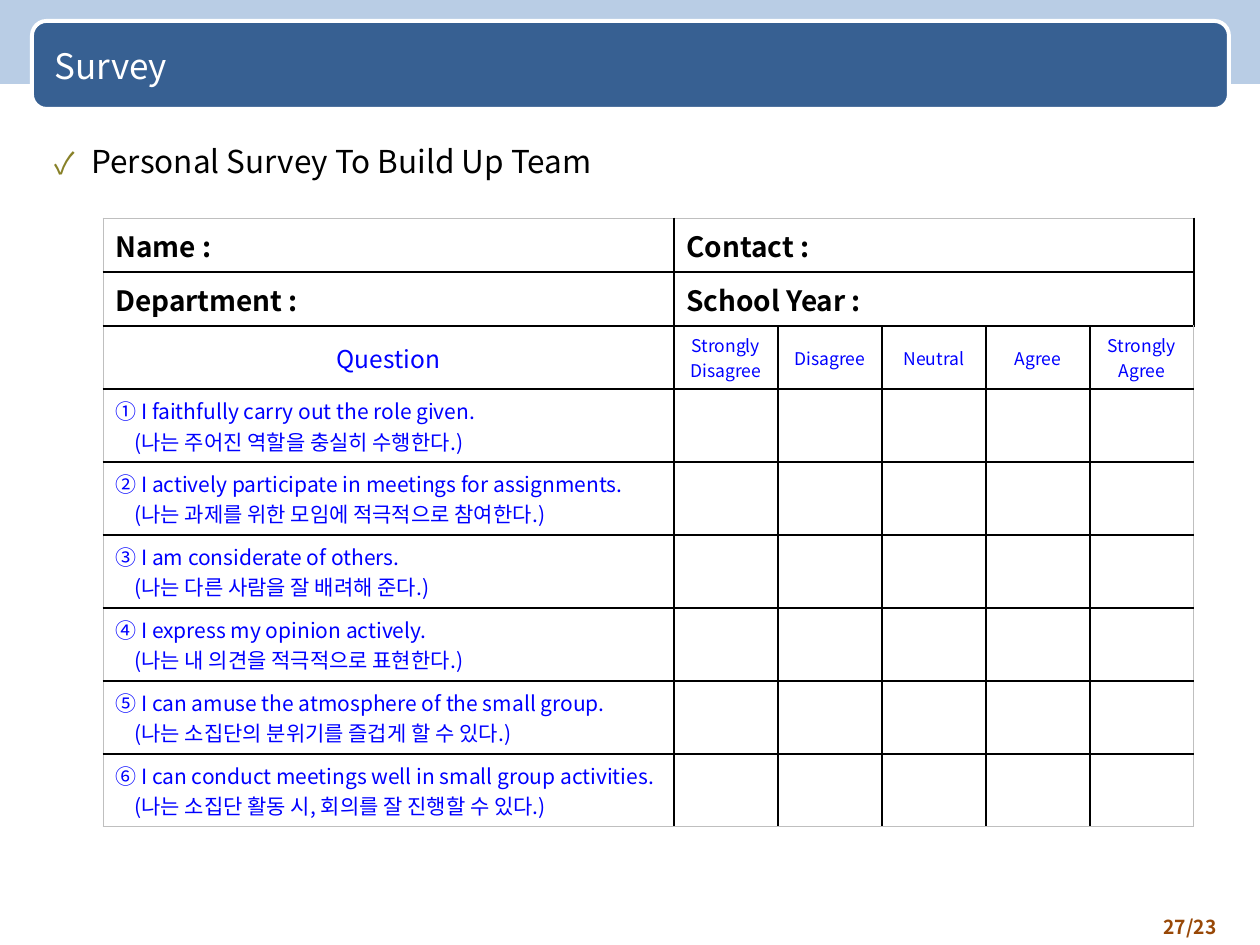
from dataclasses import dataclass

from lxml import etree
from pptx import Presentation
from pptx.dml.color import RGBColor
from pptx.enum.shapes import MSO_SHAPE
from pptx.enum.text import MSO_ANCHOR, PP_ALIGN
from pptx.oxml.ns import qn
from pptx.util import Emu, Pt

RECT, ROUND = MSO_SHAPE.RECTANGLE, MSO_SHAPE.ROUNDED_RECTANGLE
LEFT, CENTER, RIGHT = PP_ALIGN.LEFT, PP_ALIGN.CENTER, PP_ALIGN.RIGHT
TOP, MIDDLE = MSO_ANCHOR.TOP, MSO_ANCHOR.MIDDLE
PX = 914400 // 126


@dataclass(frozen=True)
class Theme:
    font: str = "Noto Sans CJK KR"
    band: str = "B9CDE5"
    bar: str = "376092"
    white: str = "FFFFFF"
    ink: str = "000000"
    blue: str = "0000FF"
    page: str = "984807"
    check: str = "888128"
    edge: str = "BFBFBF"
    title: int = 20
    lead: int = 18
    field: int = 16
    head: int = 14
    item: int = 12
    note: int = 11
    scale: int = 10


T = Theme()
COLS = [571] + [104] * 5
ROWS = [54, 54, 63] + [73] * 6
FIELDS = [("Name :", "Contact :"), ("Department :", "School Year :")]
SCALE = ["Strongly Disagree", "Disagree", "Neutral", "Agree", "Strongly Agree"]
ITEMS = [
    ("① I faithfully carry out the role given.",
     "(나는 주어진 역할을 충실히 수행한다.)"),
    ("② I actively participate in meetings for assignments.",
     "(나는 과제를 위한 모임에 적극적으로 참여한다.)"),
    ("③ I am considerate of others.",
     "(나는 다른 사람을 잘 배려해 준다.)"),
    ("④ I express my opinion actively.",
     "(나는 내 의견을 적극적으로 표현한다.)"),
    ("⑤ I can amuse the atmosphere of the small group.",
     "(나는 소집단의 분위기를 즐겁게 할 수 있다.)"),
    ("⑥ I can conduct meetings well in small group activities.",
     "(나는 소집단 활동 시, 회의를 잘 진행할 수 있다.)"),
]


def px(n):
    return Emu(n * PX)


def rgb(code):
    return RGBColor.from_string(code)


def style(para, size, color, bold=False, align=LEFT):
    para.alignment = align
    font = para.font
    font.name, font.size, font.bold = T.font, Pt(size), bold
    font.color.rgb = rgb(color)
    props = para._p.pPr.find(qn("a:defRPr"))
    etree.SubElement(props, qn("a:ea"), typeface=T.font)


def indent(para, left, first=0):
    props = para._p.get_or_add_pPr()
    props.set("marL", str(px(left)))
    props.set("indent", str(px(first)))


def bullet(para, mark, color, pct):
    props = para._p.get_or_add_pPr()
    tint = etree.SubElement(props, qn("a:buClr"))
    etree.SubElement(tint, qn("a:srgbClr"), val=color)
    etree.SubElement(props, qn("a:buSzPct"), val=str(pct * 1000))
    etree.SubElement(props, qn("a:buFont"), typeface=T.font)
    etree.SubElement(props, qn("a:buChar"), char=mark)


def panel(slide, kind, box, fill, line=None):
    shape = slide.shapes.add_shape(kind, *map(px, box))
    shape.shadow.inherit = False
    shape.fill.solid()
    shape.fill.fore_color.rgb = rgb(fill)
    if line:
        shape.line.color.rgb = rgb(line)
        shape.line.width = Pt(2.25)
    else:
        shape.line.fill.background()


def label(slide, box, text, anchor=MIDDLE):
    """Add a one-line text box and return its paragraph."""
    frame = slide.shapes.add_textbox(*map(px, box)).text_frame
    frame.word_wrap = True
    frame.vertical_anchor = anchor
    para = frame.paragraphs[0]
    para.text = text
    return para


def border(cell, row, col):
    """Draw black inner rules and thin grey outer ones."""
    props = cell._tc.get_or_add_tcPr()
    outer = {"L": col == 0, "R": col == len(COLS) - 1,
             "T": row == 0, "B": row == len(ROWS) - 1}
    for i, (side, edge) in enumerate(outer.items()):
        width = Pt(0.5 if edge else 1)
        line = etree.Element(qn(f"a:ln{side}"), w=str(width))
        fill = etree.SubElement(line, qn("a:solidFill"))
        etree.SubElement(fill, qn("a:srgbClr"), val=T.edge if edge else T.ink)
        props.insert(i, line)


def write(cell, text, *look, **more):
    cell.text = text
    for para in cell.text_frame.paragraphs:
        style(para, *look, **more)


def survey(slide):
    box = (103, 218, sum(COLS), sum(ROWS))
    frame = slide.shapes.add_table(len(ROWS), len(COLS), *map(px, box))
    table = frame.table
    table.first_row = table.horz_banding = False
    for col, width in zip(table.columns, COLS):
        col.width = px(width)
    for r, height in enumerate(ROWS):
        table.rows[r].height = px(height)
        for c in range(len(COLS)):
            cell = table.cell(r, c)
            cell.fill.background()
            cell.vertical_anchor = MIDDLE
            border(cell, r, c)

    for r, pair in enumerate(FIELDS):
        table.cell(r, 1).merge(table.cell(r, len(COLS) - 1))
        for c, text in enumerate(pair):
            write(table.cell(r, c), text, T.field, T.ink, bold=True)

    top = len(FIELDS)
    write(table.cell(top, 0), "Question", T.head, T.blue, align=CENTER)
    for c, text in enumerate(SCALE, 1):
        write(table.cell(top, c), text, T.scale, T.blue, align=CENTER)
    for r, pair in enumerate(ITEMS, top + 1):
        cell = table.cell(r, 0)
        write(cell, "\n".join(pair), T.item, T.blue)
        indent(cell.text_frame.paragraphs[1], 19)


def main():
    deck = Presentation()
    deck.slide_width, deck.slide_height = px(1260), px(945)
    slide = deck.slides.add_slide(deck.slide_layouts[6])

    panel(slide, RECT, (-1, 0, 1262, 84), T.band)
    panel(slide, ROUND, (32, 21, 1197, 88), T.bar, T.white)
    style(label(slide, (42, 27, 1018, 78), "Survey"), T.title, T.white)

    lead = label(slide, (42, 136, 1003, 76),
                 "Personal Survey To Build Up Team", TOP)
    indent(lead, 37, -37)
    bullet(lead, "✓", T.check, 95)
    style(lead, T.lead, T.ink)

    survey(slide)
    style(label(slide, (1124, 908, 105, 37), "27/23"),
          T.note, T.page, bold=True, align=RIGHT)
    deck.save("out.pptx")


if __name__ == "__main__":
    main()
